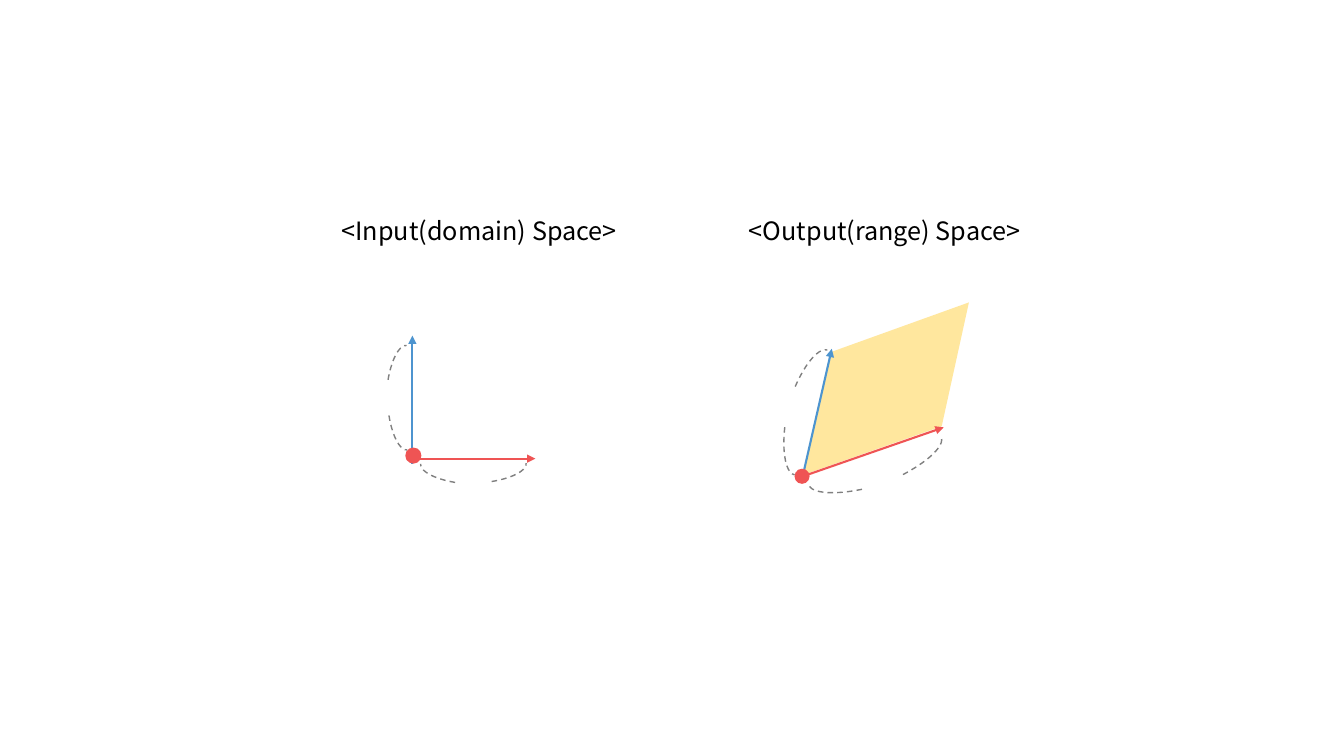
import pptx
import pptx.util
import pptx.dml.color
import pptx.enum.dml
import pptx.enum.shapes
import pptx.enum.text
import pptx.oxml
import pptx.oxml.ns

Inches = pptx.util.Inches
RGBColor = pptx.dml.color.RGBColor
Shapes = pptx.enum.shapes.MSO_SHAPE
BLACK = RGBColor(0x00, 0x00, 0x00)
BLUE = RGBColor(0x4D, 0x94, 0xCF)
RED = RGBColor(0xEF, 0x54, 0x54)
GRAY = RGBColor(0x80, 0x80, 0x80)
YELLOW = RGBColor(0xFF, 0xC0, 0x00)


def apply(target, values):
    for name, value in values.items():
        setattr(target, name, value)


def add_xml(parent, tag, attributes):
    element = pptx.oxml.parse_xml(f"<a:{tag} {pptx.oxml.ns.nsdecls('a')}/>")
    for name, value in attributes.items():
        element.set(name, value)
    parent.append(element)


class SpaceDiagram:
    heading_font = {"name": "Noto Sans CJK KR", "size": pptx.util.Pt(18)}
    heading_frame = {"word_wrap": False,
                     "auto_size": pptx.enum.text.MSO_AUTO_SIZE.SHAPE_TO_FIT_TEXT}
    arrow_line = {"width": pptx.util.Pt(1.5)}
    arc_line = {"width": pptx.util.Pt(1),
                "dash_style": pptx.enum.dml.MSO_LINE.DASH}
    arc_start = 183.168

    def __init__(self, slide):
        self.shapes = slide.shapes

    def heading(self, left, wording):
        box = self.shapes.add_textbox(
            Inches(left), Inches(2.09), Inches(2.93), Inches(0.4))
        apply(box.text_frame, self.heading_frame)
        paragraph = box.text_frame.paragraphs[0]
        run = paragraph.add_run()
        run.text = wording
        apply(run.font, self.heading_font)
        run.font.color.rgb = BLACK

    def arrow(self, start, tip, color):
        vector = self.shapes.add_connector(
            pptx.enum.shapes.MSO_CONNECTOR.STRAIGHT,
            *map(Inches, start + tip))
        apply(vector.line, self.arrow_line)
        vector.line.color.rgb = color
        add_xml(vector.line._get_or_add_ln(), "tailEnd", {"type": "triangle"})
        add_xml(vector._element.spPr, "effectLst", {})

    def arc(self, left, top, width, height, rotation, flipped):
        brace = self.shapes.add_shape(
            Shapes.ARC, *map(Inches, (left, top, width, height)))
        brace.adjustments[0] = self.arc_start
        brace.adjustments[1] = 0
        brace.rotation = rotation
        brace.shadow.inherit = False
        brace.fill.background()
        apply(brace.line, self.arc_line)
        brace.line.color.rgb = GRAY
        if flipped:
            brace._element.spPr.xfrm.set("flipH", "1")

    def length_brace(self, width, height, flipped_place, plain_place):
        for place, flipped in ((flipped_place, True), (plain_place, False)):
            left, top, rotation = place
            self.arc(left, top, width, height, rotation, flipped)

    def origin(self, left, top, diameter):
        dot = self.shapes.add_shape(
            Shapes.OVAL, *map(Inches, (left, top, diameter, diameter)))
        dot.shadow.inherit = False
        dot.fill.solid()
        dot.fill.fore_color.rgb = RED
        dot.line.fill.background()

    def span_area(self, corners):
        points = [tuple(map(Inches, corner)) for corner in corners]
        builder = self.shapes.build_freeform(*points[0])
        builder.add_line_segments(points[1:], close=True)
        area = builder.convert_to_shape()
        area.shadow.inherit = False
        area.fill.solid()
        area.fill.fore_color.rgb = YELLOW
        add_xml(area._element.spPr.find(".//" + pptx.oxml.ns.qn("a:srgbClr")),
                "alpha", {"val": "38000"})
        area.line.fill.background()


def main():
    deck = pptx.Presentation()
    apply(deck, {"slide_width": Inches(13.33), "slide_height": Inches(7.5)})
    diagram = SpaceDiagram(deck.slides.add_slide(deck.slide_layouts[6]))

    diagram.length_brace(0.93, 0.32, (4.29, 4.47, 175.7), (4.17, 4.48, 184.7))
    diagram.heading(3.29, "<Input(domain) Space>")
    diagram.heading(7.33, "<Output(range) Space>")
    diagram.arrow((4.09, 4.6), (4.09, 3.33), BLUE)
    diagram.arrow((4.09, 4.55), (5.31, 4.55), RED)

    diagram.length_brace(1.15, 0.37, (7.41, 3.96, 280.4), (7.44, 3.83, 289.4))
    diagram.span_area([(7.97, 4.71), (9.34, 4.23), (9.61, 3), (8.25, 3.49)])
    diagram.arrow((7.95, 4.73), (9.36, 4.24), RED)
    diagram.arrow((7.96, 4.73), (8.25, 3.46), BLUE)
    diagram.origin(7.88, 4.65, 0.15)
    diagram.length_brace(1.25, 0.37, (8.14, 4.41, 155.8), (8, 4.46, 164.8))

    diagram.length_brace(0.93, 0.32, (3.54, 3.84, 265.8), (3.53, 3.73, 274.8))
    diagram.origin(4.02, 4.44, 0.16)
    deck.save("out.pptx")


if __name__ == "__main__":
    main()
